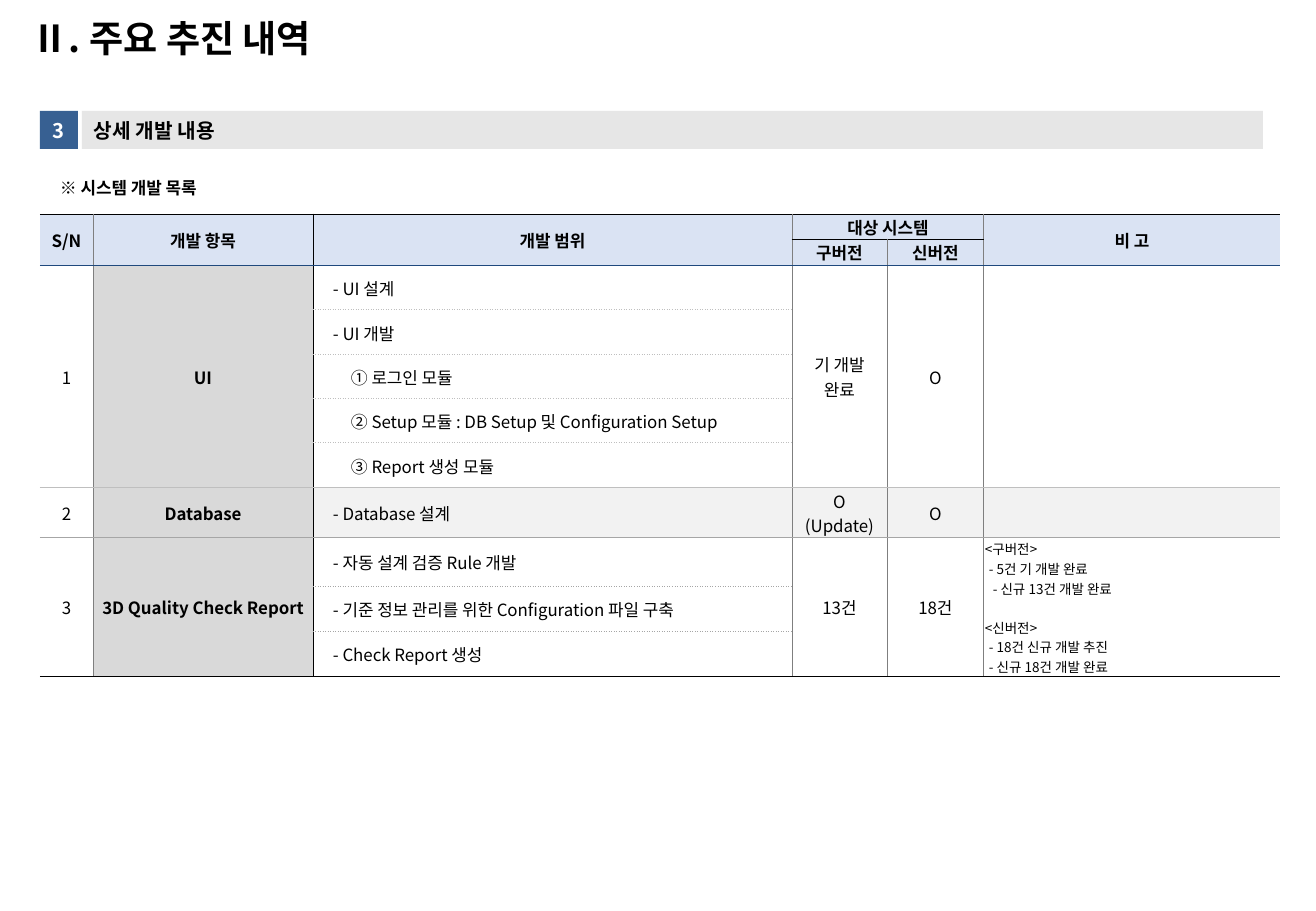
from lxml import etree
from pptx import Presentation
from pptx import util as u
from pptx.dml.color import RGBColor
from pptx.enum import shapes, text
from pptx.oxml.ns import qn

SCALE = 914400 / 121.5
FONT = "Noto Sans CJK KR"
NO_GRID = "{2D5ABB26-0587-4C30-8999-92F81FD0307C}"
C = {"black": "000000", "white": "FFFFFF", "badge": "376092", "bar": "E6E6E6",
     "head": "DAE3F3", "item": "D9D9D9", "band": "F2F2F2", "navy": "1F497D",
     "grey": "7F7F7F", "mid": "A6A6A6", "light": "BFBFBF"}
L, CTR = text.PP_ALIGN.LEFT, text.PP_ALIGN.CENTER

COLS = [53, 220, 479, 95, 97, 296]
ROWS = [25, 26, 45, 45, 44, 44, 45, 50, 49, 45, 45]
COL_LINES = [None] + [(C[k], 0.5, "solid")
                      for k in ("grey", "black", "grey", "grey", "grey")] + [None]
ROW_LINES = ([(C["black"], 0.5, "solid")] * 2 + [(C["navy"], 0.5, "solid")]
             + [(C["light"], 0.75, "sysDot")] * 4
             + [(C["light"], 0.75, "solid"), (C["mid"], 0.5, "solid")]
             + [(C["mid"], 0.5, "dot")] * 2 + [(C["black"], 0.5, "solid")])

HEADERS = [(0, 0, 2, 1, "S/N"), (0, 1, 2, 1, "개발 항목"), (0, 2, 2, 1, "개발 범위"),
           (0, 3, 1, 2, "대상 시스템"), (0, 5, 2, 1, "비 고"),
           (1, 3, 1, 1, "구버전"), (1, 4, 1, 1, "신버전")]
GROUPS = [
    (2, None, "1", "UI",
     ["- UI 설계", "- UI 개발", "① 로그인 모듈",
      "② Setup 모듈 : DB Setup 및 Configuration Setup", "③ Report 생성 모듈"],
     "기 개발\n완료", "O"),
    (7, "band", "2", "Database", ["- Database 설계"], "O\n(Update)", "O"),
    (8, None, "3", "3D Quality Check Report",
     ["- 자동 설계 검증 Rule 개발", "- 기준 정보 관리를 위한 Configuration 파일 구축",
      "- Check Report 생성"], "13건", "18건"),
]
NOTES = [("<구버전>", 0, 0), ("- 5건 기 개발 완료", 4, 0), ("- 신규 13건 개발 완료", 8, 0),
         ("<신버전>", 0, 11.6), ("- 18건 신규 개발 추진", 4, 0),
         ("- 신규 18건 개발 완료", 4, 0)]


def px(n):
    return round(n * SCALE)


def style(p, size, bold=False, color="black", align=L):
    p.alignment = align
    f = p.font
    f.size, f.bold, f.name = u.Pt(size), bold, FONT
    f.color.rgb = RGBColor.from_string(C[color])
    etree.SubElement(p._p.pPr.find(qn("a:defRPr")), qn("a:ea"), typeface=FONT)


def write(tf, lines, *args):
    tf.text = lines
    for p in tf.paragraphs:
        style(p, *args)


def label(s, box, words, size):
    tf = s.shapes.add_textbox(*map(px, box)).text_frame
    tf.word_wrap = True
    tf.vertical_anchor = text.MSO_ANCHOR.MIDDLE
    write(tf, words, size, True)


def block(s, box, fill, words, color, align):
    sp = s.shapes.add_shape(shapes.MSO_SHAPE.RECTANGLE, *map(px, box))
    sp.shadow.inherit = False
    sp.fill.solid()
    sp.fill.fore_color.rgb = RGBColor.from_string(C[fill])
    sp.line.fill.background()
    sp.text_frame.vertical_anchor = text.MSO_ANCHOR.MIDDLE
    write(sp.text_frame, words, 12, True, color, align)


def section_bar(s, x, y, w, h):
    block(s, (x, y, h, h), "badge", "3", "white", CTR)
    block(s, (x + h + 4, y, w - h - 4, h), "bar", "상세 개발 내용", "black", L)


def border(tcPr, side, line):
    ln = etree.SubElement(tcPr, qn("a:ln" + side))
    if line is None:
        etree.SubElement(ln, qn("a:noFill"))
        return
    color, width, dash = line
    ln.set("w", str(u.Pt(width)))
    fill = etree.SubElement(ln, qn("a:solidFill"))
    etree.SubElement(fill, qn("a:srgbClr"), val=color)
    etree.SubElement(ln, qn("a:prstDash"), val=dash)


def put(tbl, r, c, rows, cols, words, fill=None, bold=False, align=CTR, left=1):
    cell = tbl.cell(r, c)
    if rows * cols > 1:
        cell.merge(tbl.cell(r + rows - 1, c + cols - 1))
    cell.margin_left, cell.margin_top = px(left), px(1)
    cell.margin_right, cell.margin_bottom = px(1), 0
    cell.vertical_anchor = text.MSO_ANCHOR.MIDDLE
    for side, line in (("L", COL_LINES[c]), ("R", COL_LINES[c + cols]),
                       ("T", ROW_LINES[r]), ("B", ROW_LINES[r + rows])):
        border(cell._tc.get_or_add_tcPr(), side, line)
    if fill:
        cell.fill.solid()
        cell.fill.fore_color.rgb = RGBColor.from_string(C[fill])
    else:
        cell.fill.background()
    write(cell.text_frame, words, 10, bold, "black", align)
    return cell


def fill_notes(tf):
    write(tf, "\n".join(words for words, _, _ in NOTES), 8)
    for p, (_, indent, before) in zip(tf.paragraphs, NOTES):
        p._p.pPr.set("marL", str(px(indent)))
        if before:
            p.space_before = u.Pt(before)


def system_table(s, x, y):
    gf = s.shapes.add_table(len(ROWS), len(COLS), px(x), px(y),
                            px(sum(COLS)), px(sum(ROWS)))
    tbl = gf.table
    tbl.first_row = tbl.horz_banding = False
    tbl._tbl.tblPr.find(qn("a:tableStyleId")).text = NO_GRID
    for col, w in zip(tbl.columns, COLS):
        col.width = px(w)
    for row, h in zip(tbl.rows, ROWS):
        row.height = px(h)
    for r, c, rows, cols, words in HEADERS:
        put(tbl, r, c, rows, cols, words, "head", True)
    for r, fill, number, item, scope, old, new in GROUPS:
        n = len(scope)
        put(tbl, r, 0, n, 1, number)
        put(tbl, r, 1, n, 1, item, "item", True)
        for i, words in enumerate(scope):
            put(tbl, r + i, 2, 1, 1, words, fill, False, L,
                20 if words.startswith("-") else 38)
        put(tbl, r, 3, n, 1, old, fill)
        put(tbl, r, 4, n, 1, new, fill)
        remark = put(tbl, r, 5, n, 1, "", fill, False, L)
    fill_notes(remark.text_frame)


def main():
    prs = Presentation()
    prs.slide_width, prs.slide_height = px(1316), px(911)
    s = prs.slides.add_slide(prs.slide_layouts[6])
    label(s, (20, 1, 1262, 73), "Ⅱ. 주요 추진 내역", 22)
    section_bar(s, 40, 111, 1223, 38)
    label(s, (48, 164, 1163, 48), "※ 시스템 개발 목록", 10)
    system_table(s, 40, 214)
    prs.save("out.pptx")


if __name__ == "__main__":
    main()
